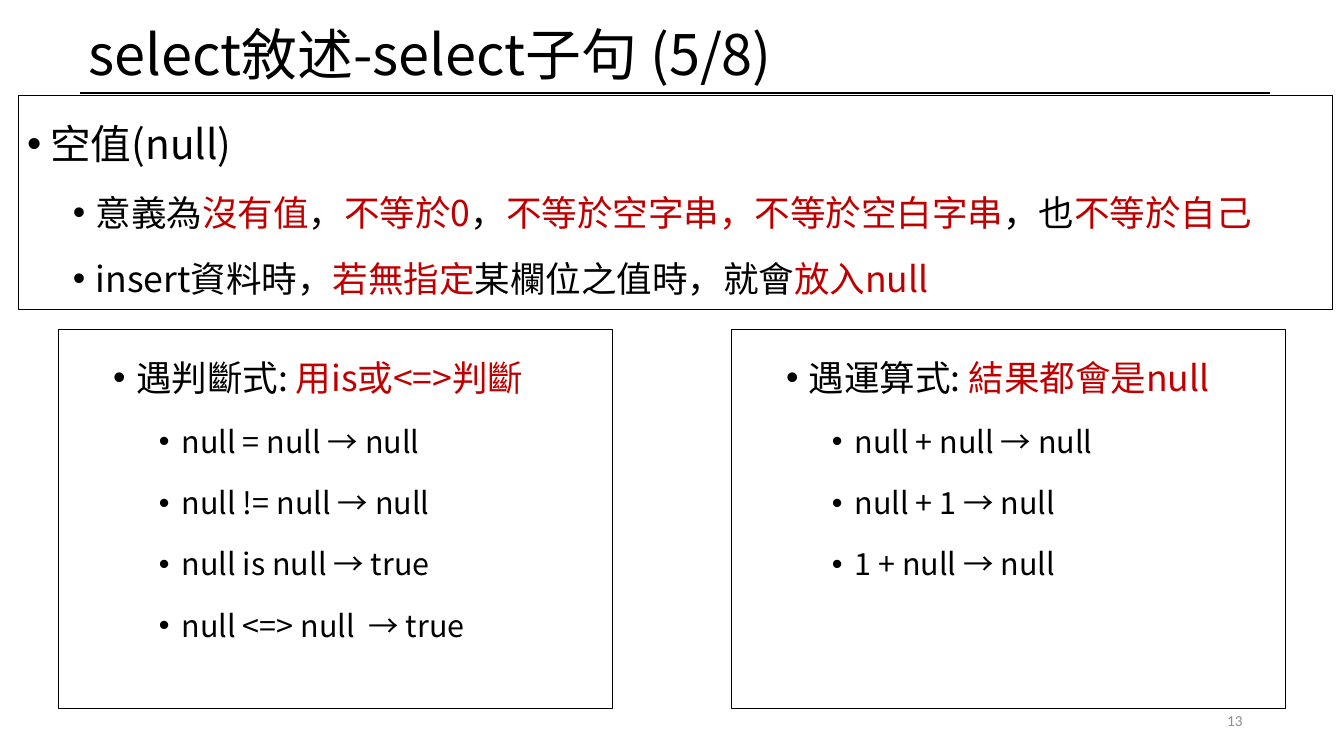
from lxml.etree import SubElement
from pptx import Presentation
from pptx.dml.color import RGBColor
from pptx.enum.shapes import MSO_CONNECTOR, MSO_SHAPE
from pptx.enum.text import MSO_ANCHOR, PP_ALIGN
from pptx.oxml import parse_xml
from pptx.oxml.ns import nsdecls, qn
from pptx.util import Inches, Pt

FONT = "Noto Sans CJK TC"
BLACK, RED, GREY = "000000", "C00000", "8C8C8C"
LEVEL_SIZES = (32, 28, 24)

# Each line is a level and its pieces, which alternate between black and red.
NULL_MEANING = [
    (0, ["空值(null)"]),
    (1, ["意義為", "沒有值", "，", "不等於0", "，",
         "不等於空字串，不等於空白字串", "，也", "不等於自己"]),
    (1, ["insert資料時，", "若無指定", "某欄位之值時，就會", "放入null"]),
]
COMPARISONS = [
    (1, ["遇判斷式: ", "用is或<=>判斷"]),
    (2, ["null = null → null"]),
    (2, ["null != null → null"]),
    (2, ["null is null → true"]),
    (2, ["null <=> null  → true"]),
]
ARITHMETIC = [
    (1, ["遇運算式: ", "結果都會是null"]),
    (2, ["null + null → null"]),
    (2, ["null + 1 → null"]),
    (2, ["1 + null → null"]),
]


def rgb(color):
    return RGBColor.from_string(color)


def set_font(p, size, color=BLACK, name=FONT):
    """Set the paragraph font for Latin and East Asian text alike."""
    p.font.size = Pt(size)
    p.font.name = name
    p.font.color.rgb = rgb(color)
    SubElement(p.font._element, qn("a:ea"), typeface=name)


def set_bullet(p, level):
    """Add a hanging bullet; the paragraph font must be set already."""
    pPr = p._p.get_or_add_pPr()
    pPr.set("marL", str(Inches(0.25 + 0.5 * level)))
    pPr.set("indent", str(Inches(-0.25)))
    for xml in ('<a:buFont %s typeface="Arial"/>', '<a:buChar %s char="•"/>'):
        p.font._element.addprevious(parse_xml(xml % nsdecls("a")))


def add_text(slide, text, left, top, width, height, size,
             color=BLACK, name=FONT, align=PP_ALIGN.LEFT, inset_top=0.05):
    sp = slide.shapes.add_textbox(
        Inches(left), Inches(top), Inches(width), Inches(height))
    tf = sp.text_frame
    tf.word_wrap = True
    tf.vertical_anchor = MSO_ANCHOR.MIDDLE
    tf.margin_top = Inches(inset_top)
    p = tf.paragraphs[0]
    p.text = text
    p.alignment = align
    set_font(p, size, color, name)


def add_rule(slide, left, right, y):
    line = slide.shapes.add_connector(
        MSO_CONNECTOR.STRAIGHT, Inches(left), Inches(y), Inches(right), Inches(y))
    line.line.color.rgb = rgb(BLACK)
    line.line.width = Pt(1.25)
    SubElement(line._element.spPr, qn("a:effectLst"))


def add_bullet_box(slide, lines, left, top, width, height, spacing):
    sp = slide.shapes.add_shape(
        MSO_SHAPE.RECTANGLE, Inches(left), Inches(top), Inches(width), Inches(height))
    sp.shadow.inherit = False
    sp.fill.background()
    sp.line.color.rgb = rgb(BLACK)
    sp.line.width = Pt(0.75)
    tf = sp.text_frame
    tf.word_wrap = True
    tf.vertical_anchor = MSO_ANCHOR.TOP
    for i, (level, pieces) in enumerate(lines):
        p = tf.add_paragraph() if i else tf.paragraphs[0]
        p.level = level
        p.alignment = PP_ALIGN.LEFT
        p.line_spacing = spacing
        p.space_before = Pt(5 if level else 10)
        set_font(p, LEVEL_SIZES[level])
        set_bullet(p, level)
        for j, piece in enumerate(pieces):
            r = p.add_run()
            r.text = piece
            r.font.color.rgb = rgb(RED if j % 2 else BLACK)


def main():
    prs = Presentation()
    prs.slide_width, prs.slide_height = Inches(14.7), Inches(8.27)
    slide = prs.slides.add_slide(prs.slide_layouts[6])

    add_rule(slide, 0.87, 13.89, 1.02)
    add_text(slide, "select敘述-select子句 (5/8)", 0.87, 0.02, 13.02, 1.08, 44,
             inset_top=0.1)
    add_bullet_box(slide, NULL_MEANING, 0.2, 1.04, 14.37, 2.35, 1.4)
    for left, lines in ((0.64, COMPARISONS), (8, ARITHMETIC)):
        add_bullet_box(slide, lines, left, 3.61, 6.06, 4.14, 1.5)
    add_text(slide, "13", 10.38, 7.66, 3.31, 0.44, 12, GREY, "Calibri", PP_ALIGN.RIGHT)

    prs.save("out.pptx")


if __name__ == "__main__":
    main()
